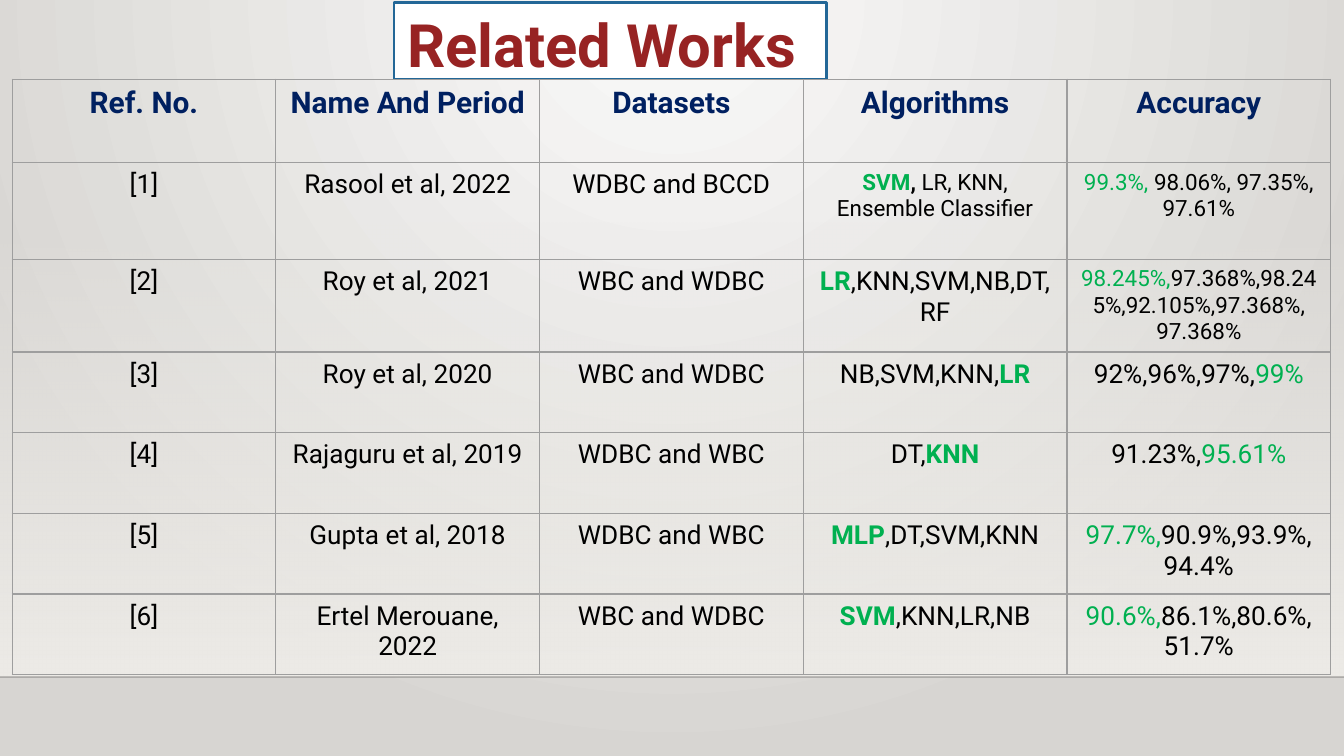
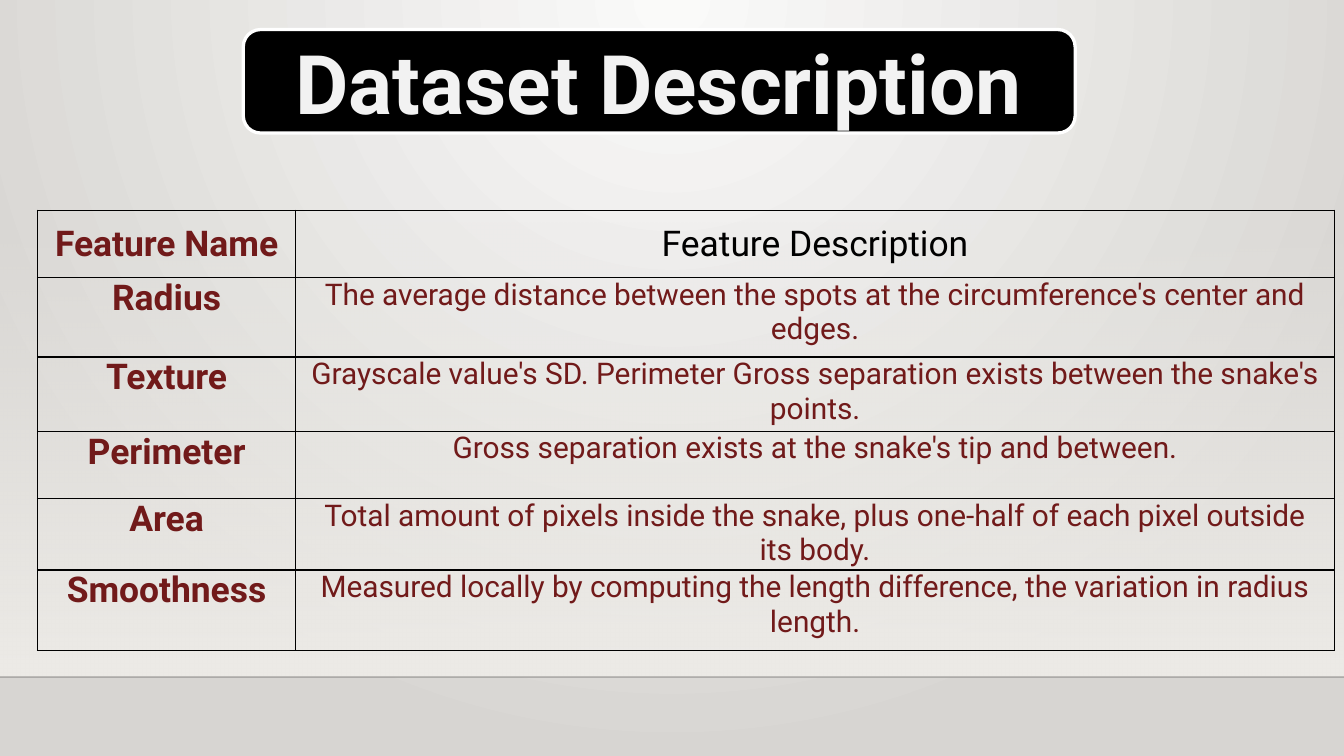
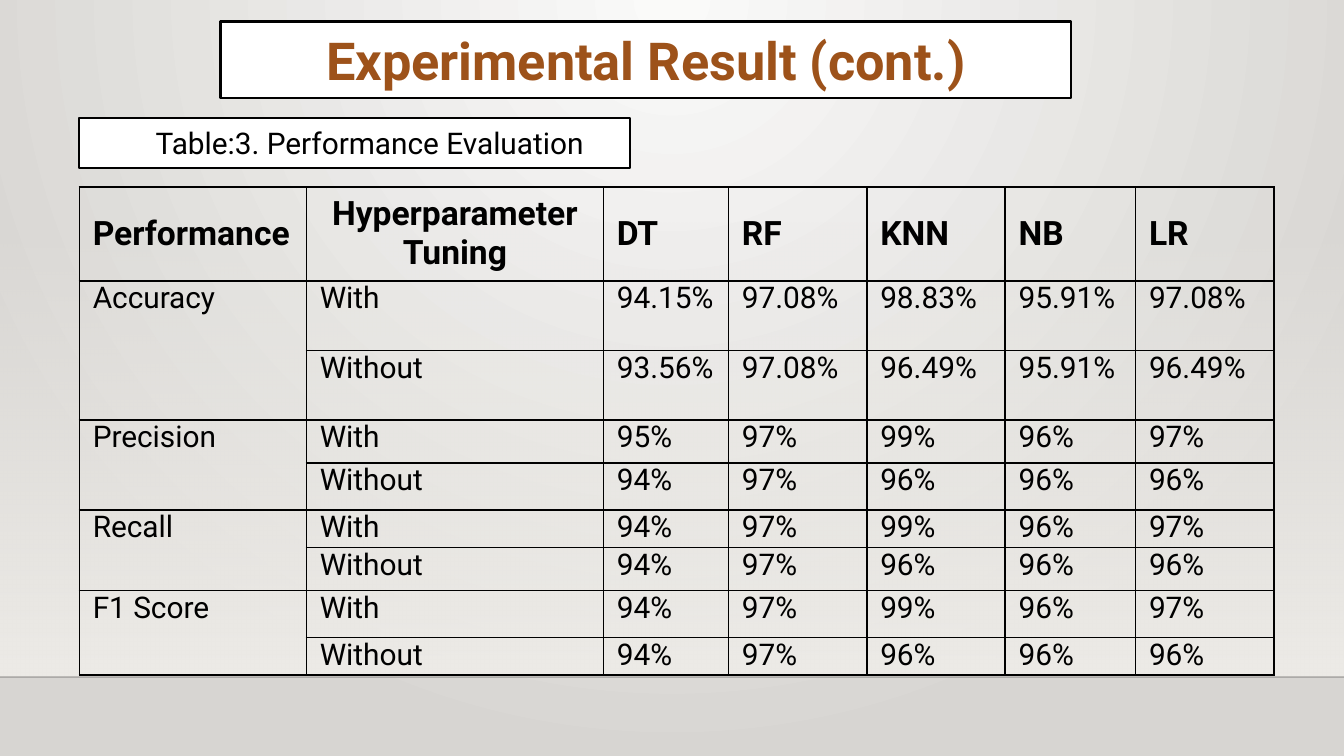
"""Build three slides of tables on related works, a dataset and experimental results."""
from dataclasses import dataclass, replace
from typing import NamedTuple

from pptx import Presentation
from pptx.dml.color import RGBColor
from pptx.enum.shapes import MSO_CONNECTOR as Connector, MSO_SHAPE as Preset
from pptx.enum.text import MSO_ANCHOR as Anchor, PP_ALIGN as Align
from pptx.oxml import parse_xml
from pptx.oxml.ns import nsdecls, qn
from pptx.util import Emu, Inches, Pt

WIDTH, HEIGHT = Inches(10), Inches(5.625)
GRID_COLUMNS = 40
FONT = "Roboto"
BLACK, WHITE, GREEN, NAVY = "000000", "FFFFFF", "00B050", "002060"
MAROON, RED, BROWN = "711A1A", "972323", "9D521A"
BAND_COLOR = "EDEBE7"
BAND_TOP, FLOOR = 6.6, 20.15


class Box(NamedTuple):
    left: float
    top: float
    width: float
    height: float


class Run(NamedTuple):
    text: str
    color: str | None = None
    bold: bool | None = None


class Stop(NamedTuple):
    position: int
    color: str
    opacity: int = 100


@dataclass(frozen=True)
class Style:
    size: int
    color: str = BLACK
    bold: bool = False
    align: Align = Align.CENTER
    anchor: Anchor = Anchor.TOP
    inset: float = 0.2
    indent: float = 0
    spacing: float = 1


@dataclass(frozen=True)
class Cell:
    lines: list[list[Run]]
    style: Style


@dataclass(frozen=True)
class Panel:
    box: Box
    text: str
    style: Style
    fill: str = WHITE
    line: str = BLACK
    line_width: float = 1.25
    preset: Preset = Preset.RECTANGLE


@dataclass(frozen=True)
class Grid:
    left: float
    top: float
    columns: list[float]
    rows: list[float]
    cells: list[list[Cell]]
    border: str = BLACK
    border_width: float = 1


def units(count: float) -> Emu:
    return Emu(round(WIDTH * count / GRID_COLUMNS))


def rgb(color: str) -> RGBColor:
    return RGBColor.from_string(color)


def cell(style: Style, *runs: Run | str) -> Cell:
    return Cell([[run if isinstance(run, Run) else Run(run) for run in runs]], style)


def paint_gradient(fill, element, stops: list[Stop], direction: str) -> None:
    fill.gradient()
    gradient = element.find(".//" + qn("a:gradFill"))
    gradient.clear()
    colors = "".join(
        f'<a:gs pos="{stop.position * 1000}"><a:srgbClr val="{stop.color}">'
        f'<a:alpha val="{stop.opacity * 1000}"/></a:srgbClr></a:gs>'
        for stop in stops)
    gradient.append(parse_xml(f'<a:gsLst {nsdecls("a")}>{colors}</a:gsLst>'))
    gradient.append(parse_xml(direction))


def paint_background(master) -> None:
    glow = (f'<a:path {nsdecls("a")} path="circle">'
            '<a:fillToRect l="43000" t="0" r="43000" b="100000"/></a:path>')
    paint_gradient(master.background.fill, master.element,
                   [Stop(0, "FAFAF9"), Stop(100, "D7D5D2")], glow)


def add_backdrop(slide) -> None:
    band = slide.shapes.add_shape(Preset.RECTANGLE, 0, units(BAND_TOP), WIDTH,
                                  units(FLOOR - BAND_TOP))
    band.shadow.inherit = False
    band.line.fill.background()
    paint_gradient(band.fill, band.element, [Stop(0, BAND_COLOR, 0), Stop(100, BAND_COLOR)],
                   f'<a:lin {nsdecls("a")} ang="5400000" scaled="0"/>')
    floor = slide.shapes.add_connector(Connector.STRAIGHT, 0, units(FLOOR), WIDTH, units(FLOOR))
    floor.line.width = Pt(1)
    floor.line.color.rgb = rgb(BLACK)
    color = floor.element.find(".//" + qn("a:ln")).find(".//" + qn("a:srgbClr"))
    color.append(parse_xml(f'<a:alpha {nsdecls("a")} val="20000"/>'))
    floor.element.spPr.append(parse_xml(f'<a:effectLst {nsdecls("a")}/>'))


def write(frame, lines: list[list[Run]], style: Style) -> None:
    frame.word_wrap = True
    for index, line in enumerate(lines):
        paragraph = frame.add_paragraph() if index else frame.paragraphs[0]
        paragraph.alignment = style.align
        paragraph.line_spacing = style.spacing
        if style.indent:
            paragraph._p.get_or_add_pPr().set("marL", str(units(style.indent)))
        font = paragraph.font
        font.name, font.size, font.bold = FONT, Pt(style.size), style.bold
        font.color.rgb = rgb(style.color)
        for part in line:
            run = paragraph.add_run()
            run.text = part.text
            if part.color:
                run.font.color.rgb = rgb(part.color)
            if part.bold is not None:
                run.font.bold = part.bold


def place(target, style: Style) -> None:
    target.margin_left = target.margin_right = units(0.4)
    target.margin_top = target.margin_bottom = units(style.inset)
    target.vertical_anchor = style.anchor


def add_panel(slide, panel: Panel) -> None:
    shape = slide.shapes.add_shape(panel.preset, *map(units, panel.box))
    shape.shadow.inherit = False
    shape.fill.solid()
    shape.fill.fore_color.rgb = rgb(panel.fill)
    shape.line.color.rgb = rgb(panel.line)
    shape.line.width = Pt(panel.line_width)
    place(shape.text_frame, panel.style)
    write(shape.text_frame, [[Run(panel.text)]], panel.style)


def add_borders(table_cell, color: str, width: float) -> None:
    properties = table_cell._tc.get_or_add_tcPr()
    for edge in ("lnL", "lnR", "lnT", "lnB"):
        properties.append(parse_xml(
            f'<a:{edge} {nsdecls("a")} w="{Pt(width)}"><a:solidFill>'
            f'<a:srgbClr val="{color}"/></a:solidFill></a:{edge}>'))


def add_grid(slide, grid: Grid):
    box = Box(grid.left, grid.top, sum(grid.columns), sum(grid.rows))
    table = slide.shapes.add_table(len(grid.rows), len(grid.columns), *map(units, box)).table
    table.first_row = table.horz_banding = False
    for column, width in zip(table.columns, grid.columns):
        column.width = units(width)
    for row, height, contents in zip(table.rows, grid.rows, grid.cells):
        row.height = units(height)
        for table_cell, content in zip(row.cells, contents):
            add_borders(table_cell, grid.border, grid.border_width)
            table_cell.fill.background()
            place(table_cell, content.style)
            write(table_cell.text_frame, content.lines, content.style)
    return table


def build_related_works(slide) -> None:
    header, body, small = Style(16, NAVY, True), Style(14), Style(12)

    def best(text: str) -> Run:
        return Run(text, GREEN, True)

    def top(text: str) -> Run:
        return Run(text, GREEN)

    works = [
        ("Rasool et al, 2022", "WDBC and BCCD",
         cell(small, best("SVM"), Run(", ", bold=True), "LR, KNN, Ensemble Classifier"),
         cell(small, top("99.3%, "), "98.06%, 97.35%, 97.61%")),
        ("Roy et al, 2021", "WBC and WDBC",
         cell(body, best("LR"), ",KNN,SVM,NB,DT,RF"),
         Cell([[top("98.245%,"), Run("97.368%,98.245%,92.105%,97.368%,")],
               [Run("97.368%")]], small)),
        ("Roy et al, 2020", "WBC and WDBC",
         cell(body, "NB,SVM,KNN,", best("LR")), cell(body, "92%,96%,97%,", top("99%"))),
        ("Rajaguru et al, 2019", "WDBC and WBC",
         cell(body, "DT,", best("KNN")), cell(body, "91.23%,", top("95.61%"))),
        ("Gupta et al, 2018", "WDBC and WBC",
         cell(body, best("MLP"), ",DT,SVM,KNN"),
         cell(body, top("97.7%,"), "90.9%,93.9%,94.4%")),
        ("Ertel Merouane, 2022", "WBC and WDBC",
         cell(body, best("SVM"), ",KNN,LR,NB"),
         cell(body, top("90.6%,"), "86.1%,80.6%,51.7%")),
    ]
    headings = ["Ref. No.", "Name And Period", "Datasets", "Algorithms", "Accuracy"]
    cells = [[cell(header, heading) for heading in headings]]
    for number, (name, dataset, algorithms, accuracy) in enumerate(works, 1):
        cells.append([cell(body, f"[{number}]"), cell(body, name), cell(body, dataset),
                      algorithms, accuracy])
    add_panel(slide, Panel(Box(11.72, 0.08, 12.88, 2.28), "Related Works",
                           Style(32, RED, True, Align.LEFT, inset=0.4, spacing=0.9),
                           line="236797"))
    add_grid(slide, Grid(0.36, 2.36, [7.85] * 5, [2.48, 2.88, 2.76] + [2.4] * 4, cells,
                         "9E9E9E", 0.75))


def build_dataset_description(slide) -> None:
    name_style = Style(19, MAROON, True, inset=0)
    text_style = replace(name_style, size=16, bold=False)
    header = replace(name_style, anchor=Anchor.MIDDLE)
    features = {
        "Radius": "The average distance between the spots at the circumference's center and edges.",
        "Texture": "Grayscale value's SD. Perimeter Gross separation exists between the "
                   "snake's points.",
        "Perimeter": "Gross separation exists at the snake's tip and between.",
        "Area": "Total amount of pixels inside the snake, plus one-half of each pixel outside "
                "its body.",
        "Smoothness": "Measured locally by computing the length difference, the variation in "
                      "radius length.",
    }
    cells = [[cell(header, "Feature Name "),
              cell(replace(header, color=BLACK, bold=False), "Feature Description")]]
    cells += [[cell(name_style, name), cell(text_style, text)]
              for name, text in features.items()]
    add_panel(slide, Panel(Box(7.24, 0.88, 24.76, 3.08), "Dataset Description",
                           Style(44, "F2F2F2", True, anchor=Anchor.MIDDLE),
                           BLACK, WHITE, 1.75, Preset.ROUNDED_RECTANGLE))
    add_grid(slide, Grid(1.12, 6.26, [7.68, 30.92], [2, 2.36, 2.22, 2, 2.12, 2.4], cells))


def build_experimental_result(slide) -> None:
    body = Style(16, align=Align.LEFT, inset=0)
    header = replace(body, size=18, bold=True, anchor=Anchor.MIDDLE)
    shared = (["94%", "97%", "99%", "96%", "97%"], ["94%", "97%", "96%", "96%", "96%"])
    scores = {
        "Accuracy": (["94.15%", "97.08%", "98.83%", "95.91%", "97.08%"],
                     ["93.56%", "97.08%", "96.49%", "95.91%", "96.49%"]),
        "Precision": (["95%", *shared[0][1:]], shared[1]),
        "Recall": shared,
        "F1 Score": shared,
    }
    models = ["DT", "RF", "KNN", "NB", "LR"]
    cells = [[cell(header, "Performance"),
              cell(replace(header, align=Align.CENTER), "Hyperparameter Tuning"),
              *(cell(header, model) for model in models)]]
    for measure, (tuned, untuned) in scores.items():
        for texts in ([measure, "With", *tuned], ["", "Without", *untuned]):
            cells.append([cell(body, text) if text else Cell([], body) for text in texts])
    add_panel(slide, Panel(Box(6.56, 0.64, 25.32, 2.28), "Experimental Result (cont.)",
                           Style(28, BROWN, True)))
    table = add_grid(slide, Grid(2.36, 5.56, [6.76, 8.84, 3.72, 4.12, 4.12, 3.88, 4.12],
                                 [2.8, 2.07, 2.07] + [1.28, 1.4, 1.12] * 2, cells))
    for first in range(1, len(cells), 2):
        table.cell(first, 0).merge(table.cell(first + 1, 0))
    add_panel(slide, Panel(Box(2.36, 3.52, 16.4, 1.48), "Table:3. Performance Evaluation",
                           Style(16, align=Align.LEFT, indent=1.88)))


def main() -> None:
    presentation = Presentation()
    presentation.slide_width, presentation.slide_height = WIDTH, HEIGHT
    paint_background(presentation.slide_master)
    for build in (build_related_works, build_dataset_description, build_experimental_result):
        slide = presentation.slides.add_slide(presentation.slide_layouts[6])
        add_backdrop(slide)
        build(slide)
    presentation.save("out.pptx")


if __name__ == "__main__":
    main()
